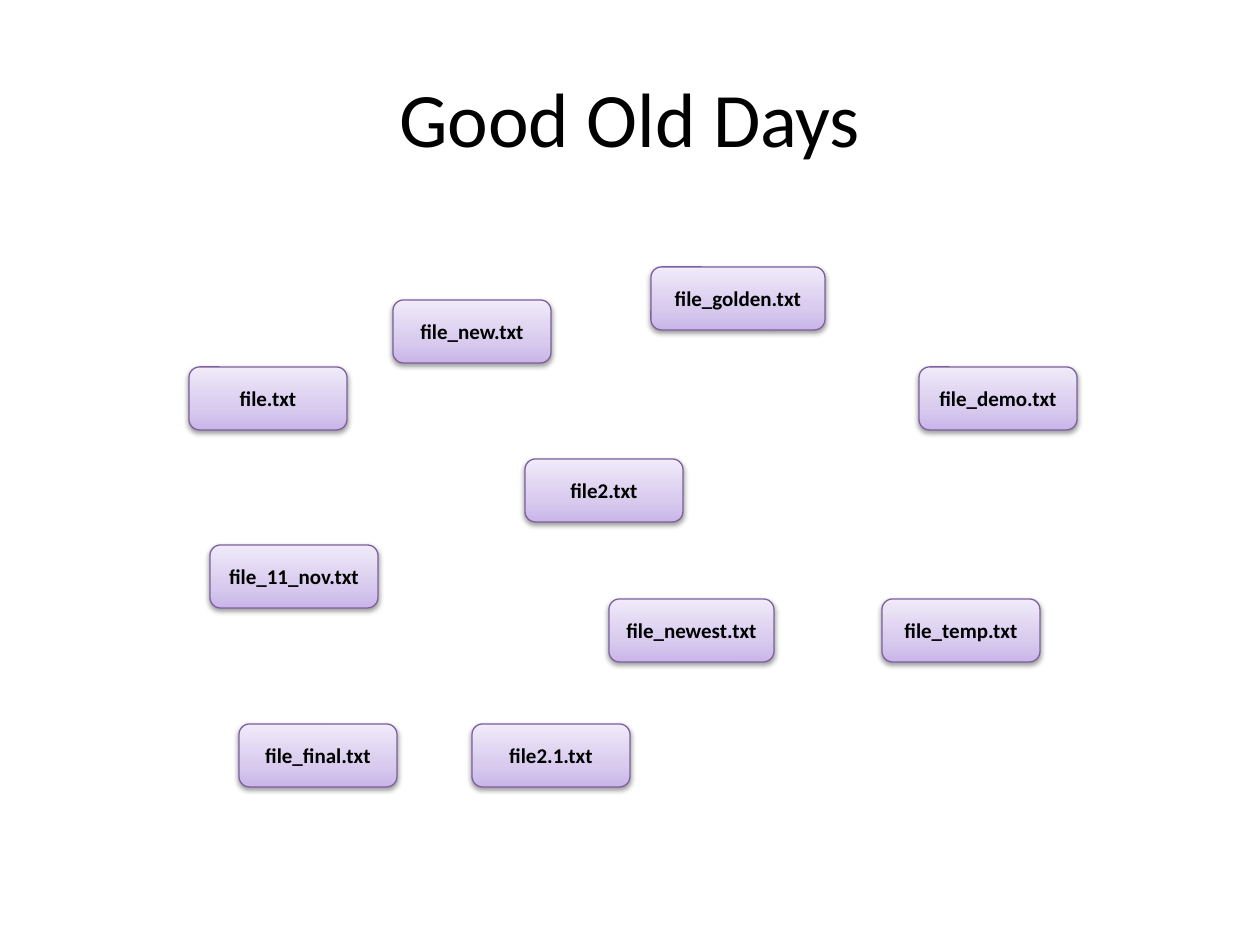
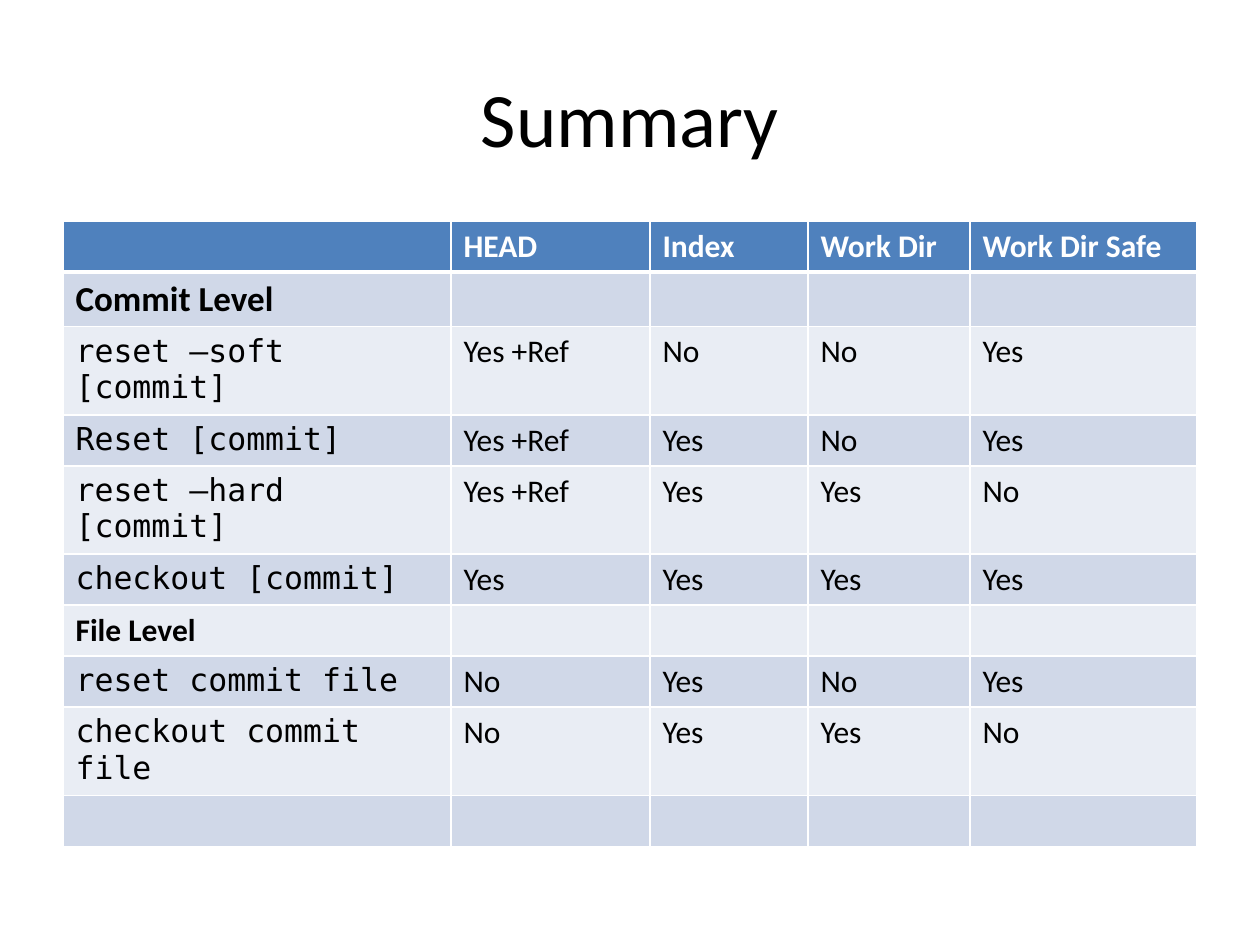
from copy import deepcopy

from lxml import etree
from pptx import Presentation
from pptx.dml.color import RGBColor
from pptx.enum.shapes import MSO_SHAPE
from pptx.enum.text import MSO_ANCHOR, PP_ALIGN
from pptx.oxml.ns import qn
from pptx.util import Emu, Pt

ROUNDED = MSO_SHAPE.ROUNDED_RECTANGLE
MIDDLE = MSO_ANCHOR.MIDDLE
CENTER = PP_ALIGN.CENTER
LEFT = PP_ALIGN.LEFT

PX_PER_INCH = 126
PAGE_SIZE = (1260, 945)
TITLE_BOX = (63, 38, 1134, 158)
FILES_BOX = (189, 267, 888, 521)
TABLE_BOX = (63, 221, 1134, 510)

SANS = "Calibri"
MONO = "DejaVu Sans Mono"
COLORS = {
    "black": "000000",
    "white": "FFFFFF",
    "file_line": "7D60A0",
    "header": "4F81BD",
    "band_dark": "D0D8E8",
    "band_light": "E9EDF4",
}
FILE_GRADIENT = ((0, "C9B5E8"), (0.35, "D8CBEE"), (1, "F0EAF9"))

FILE_HEIGHT = 63
FILES = (
    ("file.txt", 0, 100, 158),
    ("file_new.txt", 204, 33, 158),
    ("file_11_nov.txt", 21, 278, 168),
    ("file2.txt", 336, 192, 158),
    ("file_final.txt", 50, 457, 158),
    ("file2.1.txt", 283, 457, 158),
    ("file_newest.txt", 420, 332, 165),
    ("file_demo.txt", 730, 100, 158),
    ("file_golden.txt", 462, 0, 174),
    ("file_temp.txt", 693, 332, 158),
)

COLUMN_WIDTHS = (388, 199, 158, 162, 227)
HEADERS = ("", "HEAD", "Index", "Work Dir", "Work Dir Safe")
SECTION_SIZES = {"Commit Level": 20, "File Level": 18}
SUMMARY = (
    ("Commit Level",),
    ("reset –soft [commit]", "Yes +Ref", "No", "No", "Yes"),
    ("Reset [commit]", "Yes +Ref", "Yes", "No", "Yes"),
    ("reset –hard [commit]", "Yes +Ref", "Yes", "Yes", "No"),
    ("checkout [commit]", "Yes", "Yes", "Yes", "Yes"),
    ("File Level",),
    ("reset commit file", "No", "Yes", "No", "Yes"),
    ("checkout commit file", "No", "Yes", "Yes", "No"),
    (),
)


def px(length):
    """Turn pixels into EMU."""
    return Emu(round(length * 914400 / PX_PER_INCH))


def color(name):
    """Return a palette colour."""
    return RGBColor.from_string(COLORS[name])


def write(frame, text, size, font=SANS, bold=False, ink="black", align=LEFT):
    """Put one styled paragraph into a text frame."""
    frame.text = text
    para = frame.paragraphs[0]
    para.alignment = align
    for span in para.runs:
        span.font.name = font
        span.font.size = Pt(size)
        span.font.bold = bold
        span.font.color.rgb = color(ink)


def add_page(deck, title):
    """Add a blank slide with the shared title."""
    page = deck.slides.add_slide(deck.slide_layouts[6])
    box = page.shapes.add_textbox(*map(px, TITLE_BOX))
    box.text_frame.word_wrap = True
    box.text_frame.vertical_anchor = MIDDLE
    write(box.text_frame, title, 44, align=CENTER)
    return page


def fill_gradient(shape):
    """Fill a shape with the upward file gradient."""
    shape.fill.gradient()
    shape.fill.gradient_angle = 90
    stop_list = shape.element.spPr.find(".//" + qn("a:gsLst"))
    stop_list.append(deepcopy(stop_list[0]))
    for stop, (position, value) in zip(shape.fill.gradient_stops, FILE_GRADIENT):
        stop.position = position
        stop.color.rgb = RGBColor.from_string(value)


def add_shadow(shape):
    """Give a shape a soft shadow below it."""
    shape.shadow.inherit = False
    effects = shape.element.spPr.find(qn("a:effectLst"))
    shadow = etree.SubElement(
        effects, qn("a:outerShdw"), blurRad=str(Pt(3.1)), dist=str(Pt(1.6)),
        dir="5400000", rotWithShape="0")
    tint = etree.SubElement(shadow, qn("a:srgbClr"), val=COLORS["black"])
    etree.SubElement(tint, qn("a:alpha"), val="38000")


def add_file(page, name, left, top, width):
    """Draw one file as a rounded card."""
    card = page.shapes.add_shape(
        ROUNDED, px(left), px(top), px(width), px(FILE_HEIGHT))
    fill_gradient(card)
    card.line.color.rgb = color("file_line")
    card.line.width = Pt(0.75)
    add_shadow(card)
    card.text_frame.vertical_anchor = MIDDLE
    write(card.text_frame, name, 12, bold=True, align=CENTER)


def add_files(page, box):
    """Scatter the files inside the box."""
    for name, left, top, width in FILES:
        add_file(page, name, box[0] + left, box[1] + top, width)


def style_cell(cell, fill, top=1, bottom=1):
    """Set the white borders and the fill of a cell."""
    properties = cell._tc.get_or_add_tcPr()
    for side, width in (("L", 1), ("R", 1), ("T", top), ("B", bottom)):
        line = etree.SubElement(properties, qn("a:ln" + side), w=str(Pt(width)))
        paint = etree.SubElement(line, qn("a:solidFill"))
        etree.SubElement(paint, qn("a:srgbClr"), val=COLORS["white"])
    cell.fill.solid()
    cell.fill.fore_color.rgb = color(fill)


def label_style(label):
    """Return the text style of a row label."""
    if label in SECTION_SIZES:
        return {"size": SECTION_SIZES[label], "bold": True}
    return {"size": 18, "font": MONO}


def add_summary(page, box):
    """Draw the banded summary table in the box."""
    left, top, width, height = box
    row_count = len(SUMMARY) + 1
    table = page.shapes.add_table(
        row_count, len(HEADERS), *map(px, box)).table
    for column, column_width in zip(table.columns, COLUMN_WIDTHS):
        column.width = px(column_width)
    for row in table.rows:
        row.height = px(height // row_count)
    for index, header in enumerate(HEADERS):
        cell = table.cell(0, index)
        style_cell(cell, "header", bottom=3)
        write(cell.text_frame, header, 18, bold=True, ink="white")
    for number, values in enumerate(SUMMARY, 1):
        band = "band_dark" if number % 2 else "band_light"
        for index in range(len(HEADERS)):
            cell = table.cell(number, index)
            style_cell(cell, band, top=3 if number == 1 else 1)
            if index < len(values):
                style = {"size": 18} if index else label_style(values[0])
                write(cell.text_frame, values[index], **style)


def main():
    """Build and save the deck."""
    deck = Presentation()
    deck.slide_width, deck.slide_height = map(px, PAGE_SIZE)
    add_files(add_page(deck, "Good Old Days"), FILES_BOX)
    add_summary(add_page(deck, "Summary"), TABLE_BOX)
    deck.save("out.pptx")


if __name__ == "__main__":
    main()
